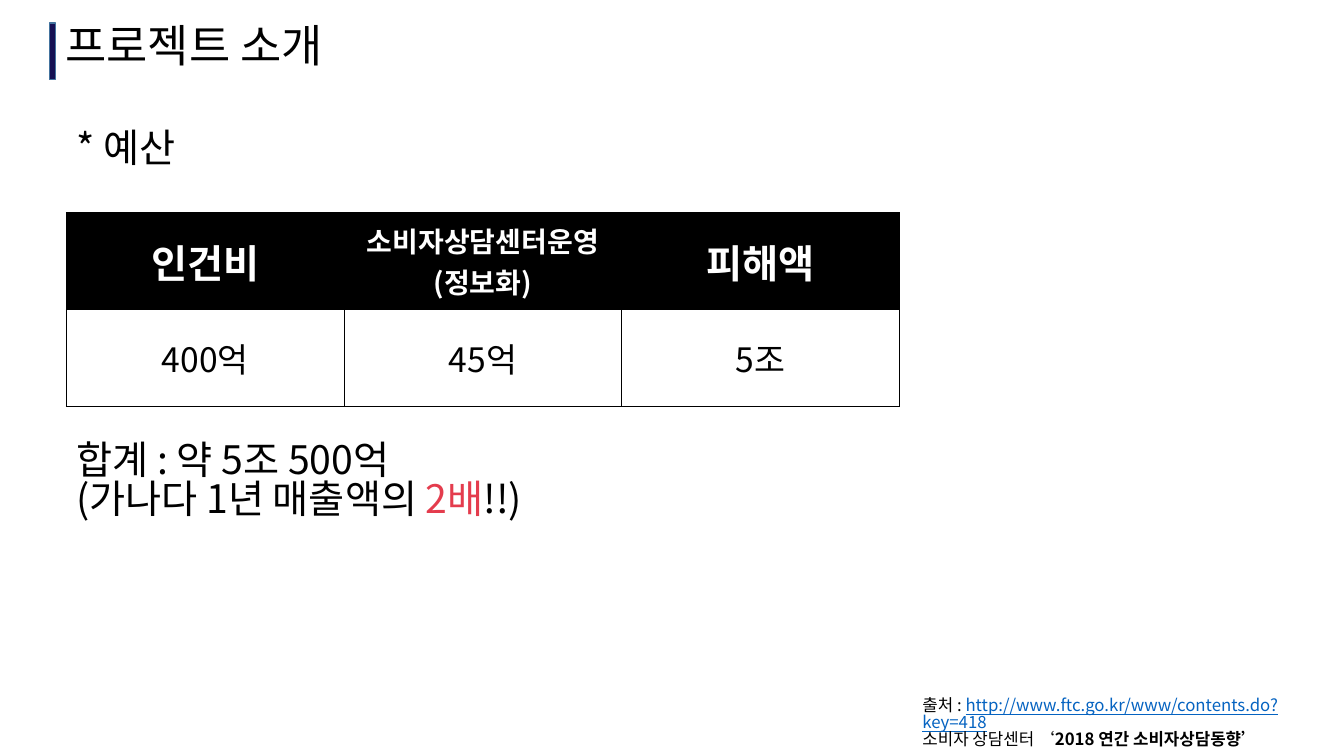
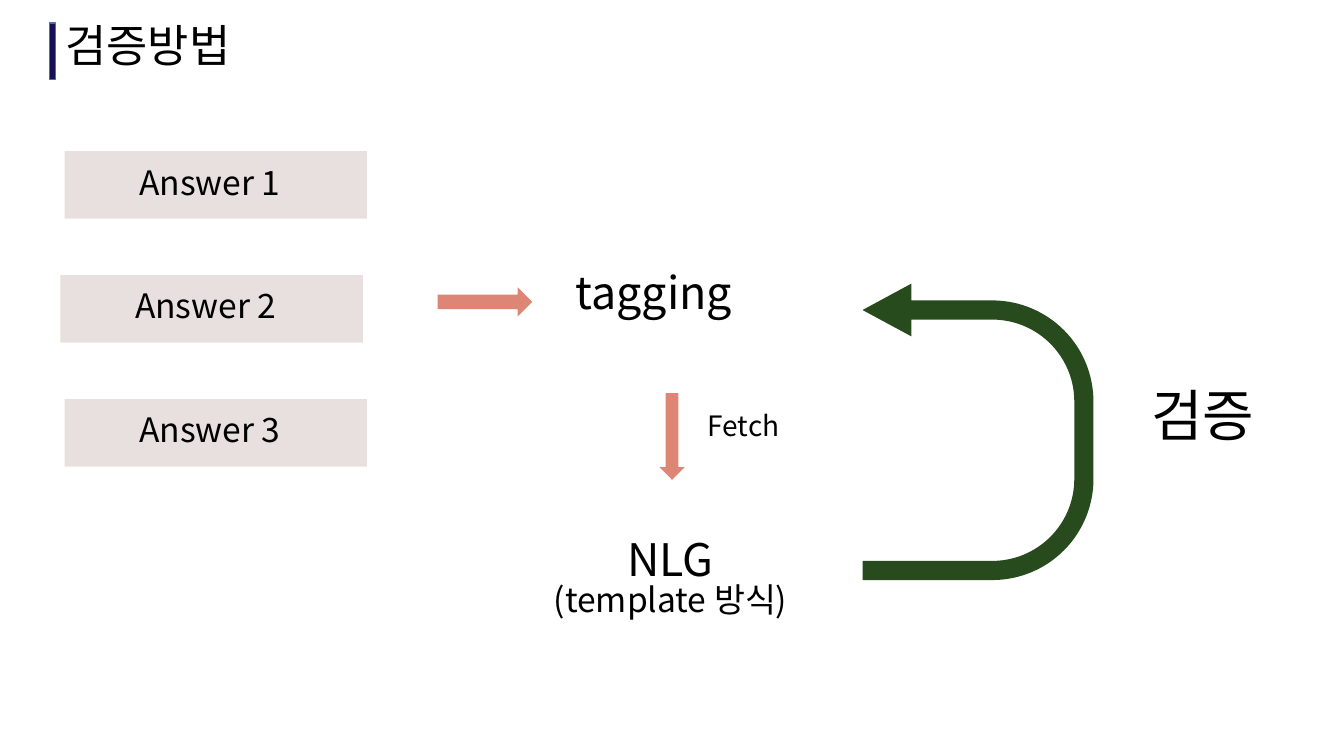
"""Build the project budget slide and the verification method slide."""
from lxml.etree import SubElement
from pptx import Presentation
from pptx.dml.color import RGBColor
from pptx.enum.shapes import MSO_SHAPE
from pptx.enum.text import MSO_ANCHOR, MSO_AUTO_SIZE, PP_ALIGN
from pptx.oxml.ns import qn
from pptx.util import Inches, Pt

FONT = "Noto Sans CJK KR"
COLORS = {
    "black": "000000",
    "white": "FFFFFF",
    "navy": "161154",
    "blue": "43739E",
    "link": "0563C1",
    "red": "E43C4D",
    "answer": "E8E0DE",
    "arrow": "DD8675",
    "green": "274B1D",
}


def write(frame, lines, size, align=PP_ALIGN.LEFT, spacing=0.83, color="black", bold=False):
    """Fill a frame with lines, each a list of (text, font overrides) spans."""
    frame.word_wrap = True
    for index, spans in enumerate(lines):
        paragraph = frame.paragraphs[0] if index == 0 else frame.add_paragraph()
        paragraph.alignment = align
        paragraph.line_spacing = spacing
        for text, style in spans:
            span = paragraph.add_run()
            span.text = text
            span.font.name = FONT
            span.font.size = Pt(style.get("size", size))
            span.font.bold = style.get("bold", bold)
            span.font.underline = style.get("underline", False)
            span.font.color.rgb = RGBColor.from_string(COLORS[style.get("color", color)])
            SubElement(span.font._element, qn("a:ea"), typeface=FONT)


def add_block(page, kind, left, top, width, height, color):
    """Add a flat filled shape without an outline."""
    block = page.shapes.add_shape(kind, Inches(left), Inches(top), Inches(width), Inches(height))
    block.shadow.inherit = False
    block.fill.solid()
    block.fill.fore_color.rgb = RGBColor.from_string(COLORS[color])
    block.line.fill.background()
    return block


deck = Presentation()
deck.slide_width, deck.slide_height = Inches(13.33), Inches(7.5)

pages = []
for heading in ("프로젝트 소개", "검증방법"):
    page = deck.slides.add_slide(deck.slide_layouts[5])
    bar = add_block(page, MSO_SHAPE.RECTANGLE, 0.49, 0.23, 0.06, 0.56, "navy")
    bar.line.color.rgb = RGBColor.from_string(COLORS["blue"])
    bar.line.width = Pt(1)
    title = page.shapes.title
    title.left, title.top = Inches(0.55), Inches(0.19)
    title.width, title.height = Inches(5), Inches(0.64)
    title.text_frame.auto_size = MSO_AUTO_SIZE.NONE
    title.text_frame.vertical_anchor = MSO_ANCHOR.TOP
    title.text_frame.margin_top = Inches(0.08)
    write(title.text_frame, [[(heading, {})]], 32)
    pages.append(page)
budget, method = pages

columns = [
    (["인건비"], 28, "400억"),
    (["소비자상담센터운영", "(정보화)"], 20, "45억"),
    (["피해액"], 28, "5조"),
]
table = budget.shapes.add_table(
    2, len(columns), Inches(0.66), Inches(2.11), Inches(8.26), Inches(1.92)
).table
for column, (header, header_size, amount) in enumerate(columns):
    rows = [
        (header, header_size, "white", "black", True),
        ([amount], 24, "black", "white", False),
    ]
    for row, (lines, size, color, fill, bold) in enumerate(rows):
        cell = table.cell(row, column)
        cell.vertical_anchor = MSO_ANCHOR.MIDDLE
        write(cell.text_frame, [[(line, {})] for line in lines], size,
              PP_ALIGN.CENTER, 1.0, color, bold)
        properties = cell._tc.get_or_add_tcPr()
        for side in ("a:lnL", "a:lnR", "a:lnT", "a:lnB"):
            border = SubElement(properties, qn(side), w=str(Pt(1)))
            SubElement(SubElement(border, qn("a:solidFill")), qn("a:srgbClr"), val=COLORS["black"])
        cell.fill.solid()
        cell.fill.fore_color.rgb = RGBColor.from_string(COLORS[fill])

total = [
    [("합계 : 약 5조 500억", {})],
    [("(가나다 1년 매출액의 ", {}), ("2배", {"color": "red"}), ("!!)", {})],
]
source = [
    [("출처 : ", {}),
     ("http://www.ftc.go.kr/www/contents.do?key=418", {"color": "link", "underline": True})],
    [("소비자 상담센터 ‘", {}), ("2018 연간 소비자상담동향’", {"bold": True})],
]
template = [[("NLG", {})], [("(template 방식)", {"size": 24})]]
labels = [
    (budget, 0.66, 1.23, 2.1, 0.57, [[("* 예산", {})]], 28, PP_ALIGN.LEFT),
    (budget, 0.66, 4.33, 5.88, 1.04, total, 28, PP_ALIGN.LEFT),
    (budget, 9.05, 6.86, 4.28, 0.5, source, 12, PP_ALIGN.LEFT),
    (method, 5.61, 2.65, 2.11, 0.64, [[("tagging", {})]], 32, PP_ALIGN.LEFT),
    (method, 5.29, 5.3, 2.72, 1.04, template, 32, PP_ALIGN.CENTER),
    (method, 6.92, 4.04, 1.08, 0.44, [[("Fetch", {})]], 20, PP_ALIGN.LEFT),
    (method, 11.32, 3.82, 1.61, 0.77, [[("검증", {})]], 40, PP_ALIGN.LEFT),
]
for page, left, top, width, height, lines, size, align in labels:
    box = page.shapes.add_textbox(Inches(left), Inches(top), Inches(width), Inches(height))
    box.text_frame.margin_top = Inches(0.07)
    write(box.text_frame, lines, size, align)

for index, left in enumerate((0.64, 0.6, 0.64)):
    answer = add_block(method, MSO_SHAPE.RECTANGLE, left, 1.5 + 1.23 * index, 3, 0.67, "answer")
    answer.text_frame.margin_left = Inches(0.74)
    answer.text_frame.vertical_anchor = MSO_ANCHOR.MIDDLE
    write(answer.text_frame, [[(f"Answer {index + 1}", {})]], 24)

add_block(method, MSO_SHAPE.RIGHT_ARROW, 4.34, 2.85, 0.94, 0.29, "arrow")
add_block(method, MSO_SHAPE.DOWN_ARROW, 6.54, 3.9, 0.25, 0.86, "arrow")
loop = add_block(method, MSO_SHAPE.U_TURN_ARROW, 8.23, 3.14, 2.94, 2.29, "green")
for index, value in enumerate((0.083, 0.114, 0.211, 0.438, 1)):
    loop.adjustments[index] = value
loop.rotation = 270
loop._element.spPr.find(qn("a:xfrm")).set("flipV", "1")

deck.save("out.pptx")
